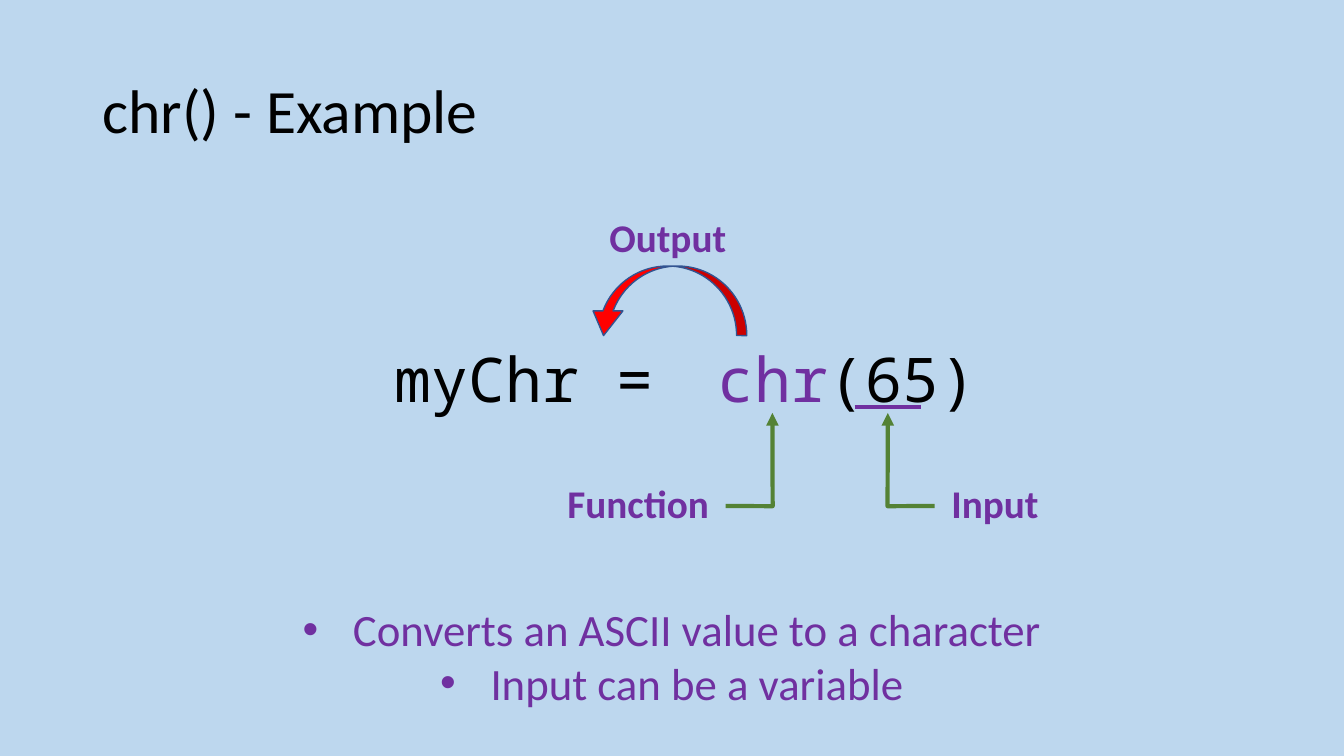
from dataclasses import dataclass

from lxml import etree
from pptx import Presentation
from pptx import util as u
from pptx.dml.color import RGBColor
from pptx.enum import shapes, text
from pptx.oxml.ns import qn

Pt = u.Pt
KIND = shapes.MSO_SHAPE
ALIGN = text.PP_ALIGN
MID = text.MSO_ANCHOR.MIDDLE
GROW = text.MSO_AUTO_SIZE.SHAPE_TO_FIT_TEXT


@dataclass(frozen=True)
class Theme:
    back: str = "BDD7EE"
    ink: str = "000000"
    accent: str = "7030A0"
    lead: str = "548235"
    arrow: str = "FF0000"
    edge: str = "325491"
    sans: str = "Calibri"
    mono: str = "Noto Sans Mono"
    big: int = 44
    body: int = 32
    label: int = 28


T = Theme()
LABEL = dict(name=T.sans, size=Pt(T.label), bold=True)
CODE = dict(name=T.mono, size=Pt(T.big))


def apply(obj, **values):
    for key, value in values.items():
        setattr(obj, key, value)


def rgb(code):
    return RGBColor.from_string(code)


def write(para, words, color, font):
    run = para.add_run()
    run.text = words
    apply(run.font, **font)
    run.font.color.rgb = rgb(color)


def stroke(line, color, width):
    line.color.rgb = rgb(color)
    line.width = Pt(width)


def place(parent, box, kind=None, flip=False, adjust=()):
    """Add a text box, or a preset shape if a kind is given."""
    box = [Pt(n) for n in box]
    if kind is None:
        return parent.add_textbox(*box)
    item = parent.add_shape(kind, *box)
    item.shadow.inherit = False
    if flip:
        item._element.spPr.find(qn("a:xfrm")).set("flipH", "1")
    for i, value in enumerate(adjust):
        item.adjustments[i] = value
    return item


def label(parent, box, runs, align=ALIGN.LEFT, **frame):
    """Write one paragraph of (words, color, font) runs in a text box."""
    area = place(parent, box).text_frame
    apply(area, **{"word_wrap": True, **frame})
    para = area.paragraphs[0]
    para.alignment = align
    for run in runs:
        write(para, *run)
    return para


def heading(parent, box):
    font = dict(name=T.sans, size=Pt(T.big))
    para = label(parent, box, [("chr() - Example", T.ink, font)],
                 vertical_anchor=MID)
    para.line_spacing = 0.9


def code(parent, box):
    x, y, w, h = box
    left = 278
    gap = 5
    label(parent, (x, y, left, h), [("myChr = ", T.ink, CODE)],
          ALIGN.RIGHT, auto_size=GROW)
    label(parent, (x + left + gap, y, w - left - gap, h),
          [("chr", T.accent, CODE), ("(65)", T.ink, CODE)], auto_size=GROW)
    # Underline of the argument
    line = parent.add_connector(shapes.MSO_CONNECTOR.STRAIGHT, Pt(x + 388),
                                Pt(y + 51), Pt(x + 435.6), Pt(y + 51))
    stroke(line.line, T.accent, 3)
    etree.SubElement(line._element.spPr, qn("a:effectLst"))


def output(parent, box):
    x, y, w, h = box
    head = 41
    group = parent.add_group_shape().shapes
    arrow = place(group, (x, y + head, w, h - head), KIND.CURVED_DOWN_ARROW,
                  True, (0.147, 0.428, 0.354))
    arrow.fill.solid()
    arrow.fill.fore_color.rgb = rgb(T.arrow)
    stroke(arrow.line, T.edge, 1)
    label(group, (x + 7.2, y, w - 14.4, head), [("Output", T.accent, LABEL)],
          ALIGN.CENTER, word_wrap=False, auto_size=GROW)


def callout(parent, box, words, flip):
    """Label with an elbow leader; a flipped one points to the right."""
    item = place(parent, box, KIND.LINE_CALLOUT_2_NO_BORDER, flip,
                 (0.533, -0.026, 0.535, -0.202, -0.449, -0.201))
    item.fill.background()
    stroke(item.line, T.lead, 3)
    etree.SubElement(item.line._get_or_add_ln(), qn("a:tailEnd"),
                     type="triangle")
    item.text_frame.vertical_anchor = MID
    para = item.text_frame.paragraphs[0]
    para.alignment = ALIGN.RIGHT if flip else ALIGN.LEFT
    write(para, words, T.accent, LABEL)


def notes(parent, box, lines):
    area = place(parent, box).text_frame
    apply(area, word_wrap=False, auto_size=GROW)
    for i, words in enumerate(lines):
        para = area.add_paragraph() if i else area.paragraphs[0]
        para.alignment = ALIGN.CENTER
        props = para._p.get_or_add_pPr()
        props.set("marL", str(Pt(36)))
        props.set("indent", str(-Pt(36)))
        etree.SubElement(props, qn("a:buFont"), typeface="Arial")
        etree.SubElement(props, qn("a:buChar"), char="•")
        write(para, words, T.accent, dict(name=T.sans, size=Pt(T.body)))


def main():
    deck = Presentation()
    apply(deck, slide_width=Pt(960), slide_height=Pt(540))
    slide = deck.slides.add_slide(deck.slide_layouts[6])
    slide.background.fill.solid()
    slide.background.fill.fore_color.rgb = rgb(T.back)
    parts = slide.shapes

    heading(parts, (66, 28.8, 828, 104.4))
    code(parts, (222.5, 239.8, 594, 60.5))
    output(parts, (420.5, 149, 113, 90.7))
    for words, x, flip in (("Function", 322.6, True), ("Input", 672.5, False)):
        callout(parts, (x, 325.4, 190.8, 67.7), words, flip)
    notes(parts, (206, 426.2, 548, 85),
          ("Converts an ASCII value to a character",
           "Input can be a variable"))
    deck.save("out.pptx")


if __name__ == "__main__":
    main()
